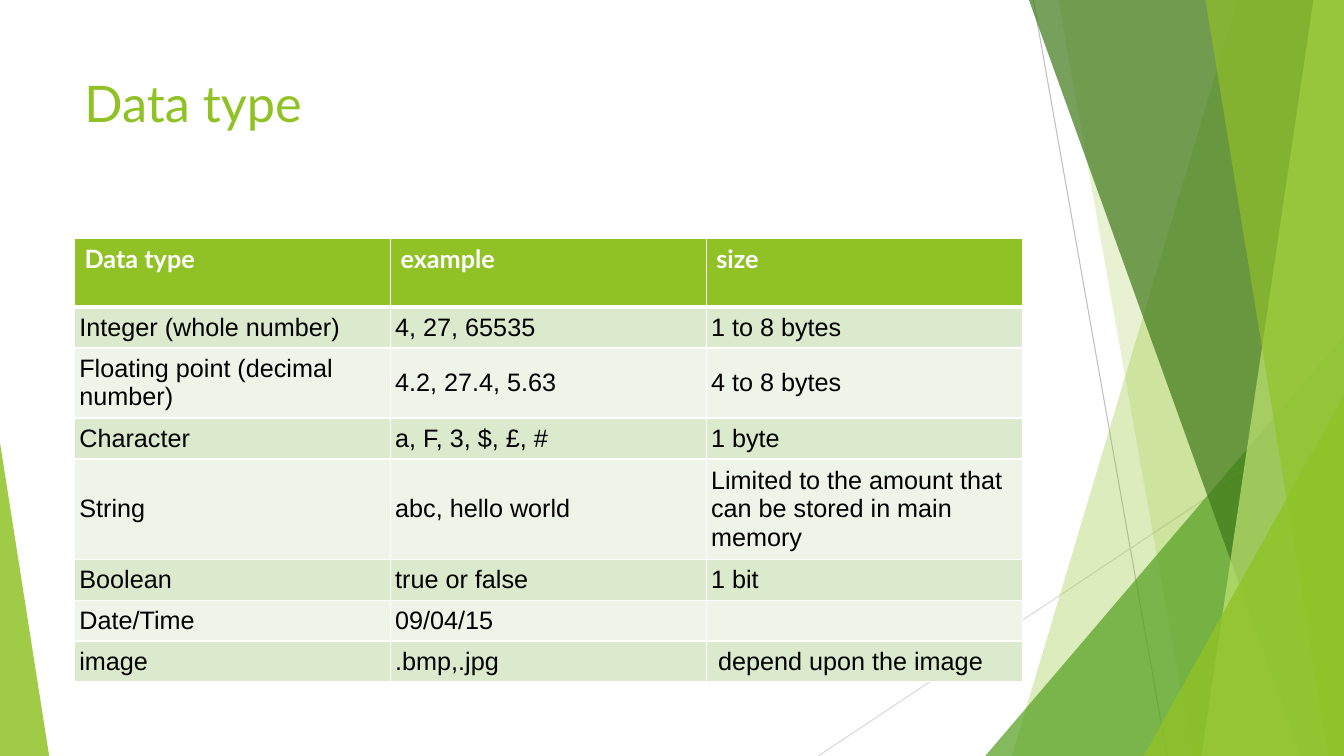
from collections import namedtuple

from lxml.etree import SubElement
from pptx import Presentation
from pptx.dml.color import RGBColor
from pptx.enum.shapes import MSO_CONNECTOR as Connector, MSO_SHAPE as Preset
from pptx.enum.text import MSO_ANCHOR as Anchor
from pptx.oxml.ns import qn
from pptx.util import Cm, Pt

Box = namedtuple("Box", "left top width height")

WHITE = RGBColor(0xFF, 0xFF, 0xFF)
BLACK = RGBColor(0, 0, 0)
GREEN = RGBColor(0x90, 0xC2, 0x26)
LEAF = RGBColor(0x54, 0xA0, 0x21)
FOREST = RGBColor(0x3F, 0x78, 0x19)
LIME = RGBColor(0xC0, 0xE4, 0x74)
BAND_DARK = RGBColor(0xDB, 0xE9, 0xCD)
BAND_LIGHT = RGBColor(0xEE, 0xF4, 0xE8)
GREY = RGBColor(0xBF, 0xBF, 0xBF)
PALE_GREY = RGBColor(0xD9, 0xD9, 0xD9)

PAGE = Box(0, 0, 33.87, 19.05)
TITLE = Box(1.88, 1.7, 23.88, 3.66)
TABLE = Box(1.88, 6, 23.88, 10.99)

ROWS = [
    ("Data type", "example", "size"),
    ("Integer (whole number)", "4, 27, 65535", "1 to 8 bytes"),
    ("Floating point (decimal number)", "4.2, 27.4, 5.63", "4 to 8 bytes"),
    ("Character", "a, F, 3, $, £, #", "1 byte"),
    ("String", "abc, hello world",
     "Limited to the amount that can be stored in main memory"),
    ("Boolean", "true or false", "1 bit"),
    ("Date/Time", "09/04/15", ""),
    ("image", ".bmp,.jpg", " depend upon the image"),
]
ROW_HEIGHTS = [1.74, 1.03, 1.69, 1.03, 2.41, 1.03, 1.03, 1.03]


def write(frame, text, font="Arial", size=18, color=BLACK, bold=False):
    para = frame.paragraphs[0]
    para.font.size = Pt(size)
    if text:
        span = para.add_run()
        span.text = text
        span.font.name = font
        span.font.size = Pt(size)
        span.font.bold = bold
        span.font.color.rgb = color


def paint(shape, color, opacity):
    shape.shadow.inherit = False
    shape.line.fill.background()
    shape.fill.solid()
    shape.fill.fore_color.rgb = color
    tint = shape.fill._xPr.find(qn("a:solidFill"))[0]
    SubElement(tint, qn("a:alpha"), val=str(opacity * 1000))


def add_ray(page, box, start, end, color):
    x1, y1, x2, y2 = (Cm(value) for value in (
        box.left + start[0], box.top + start[1],
        box.left + end[0], box.top + end[1]))
    ray = page.shapes.add_connector(Connector.STRAIGHT, x1, y1, x2, y2)
    ray.line.color.rgb = color
    ray.line.width = Pt(0.75)
    SubElement(ray._element.spPr, qn("a:effectLst"))


def add_facet(page, box, top_x, bottom_x, color, opacity):
    right, bottom = box.left + box.width, box.top + box.height
    corners = [(box.left + top_x, box.top), (right, box.top),
               (right, bottom), (box.left + bottom_x, bottom)]
    points = [(Cm(x), Cm(y)) for x, y in corners]
    builder = page.shapes.build_freeform(*points[0])
    builder.add_line_segments(points[1:], close=True)
    paint(builder.convert_to_shape(), color, opacity)


def add_wedge(page, box, width, height, color, opacity, apex):
    left = box.left + apex * (box.width - width)
    top = box.top + box.height - height
    wedge = page.shapes.add_shape(
        Preset.ISOSCELES_TRIANGLE, Cm(left), Cm(top), Cm(width), Cm(height))
    wedge.adjustments[0] = apex
    paint(wedge, color, opacity)


def add_backdrop(page, box):
    add_ray(page, box, (26.04, 0), (29.41, box.height), GREY)
    add_ray(page, box, (box.width, 10.24), (20.62, box.height), PALE_GREY)
    add_facet(page, box, 31.19, 25.5, GREEN, 30)
    add_facet(page, box, 26.67, 30.05, GREEN, 20)
    add_wedge(page, box, 9.04, 10.59, LEAF, 72, apex=1)
    add_facet(page, box, 25.93, 32.79, FOREST, 70)
    add_facet(page, box, 33.1, 30.28, LIME, 70)
    add_facet(page, box, 30.38, 33.48, GREEN, 65)
    add_wedge(page, box, 5.05, 9.07, GREEN, 80, apex=1)
    add_wedge(page, box, 1.24, 7.9, GREEN, 85, apex=0)


def add_title(page, box, text):
    title = page.shapes.add_textbox(*map(Cm, box))
    title.text_frame.word_wrap = True
    write(title.text_frame, text, font="Lato", size=36, color=GREEN)


def add_borders(cell, widths):
    props = cell._tc.get_or_add_tcPr()
    for side, width in widths.items():
        edge = SubElement(props, qn(f"a:ln{side}"), w=str(Pt(width)))
        fill = SubElement(edge, qn("a:solidFill"))
        SubElement(fill, qn("a:srgbClr"), val=str(WHITE))


def format_cell(cell, text, row):
    header = row == 0
    add_borders(cell, {"L": 1, "R": 1, "T": 3 if row == 1 else 1,
                       "B": 3 if header else 1})
    cell.fill.solid()
    if header:
        cell.fill.fore_color.rgb = GREEN
        write(cell.text_frame, text, font="Lato", color=WHITE, bold=True)
        return
    cell.fill.fore_color.rgb = BAND_DARK if row % 2 else BAND_LIGHT
    cell.vertical_anchor = Anchor.MIDDLE
    cell.margin_left = cell.margin_right = Cm(0.12)
    cell.margin_top = cell.margin_bottom = Cm(0.12)
    write(cell.text_frame, text)


def add_type_table(page, box, rows, heights):
    columns = len(rows[0])
    table = page.shapes.add_table(len(rows), columns, *map(Cm, box)).table
    for column in table.columns:
        column.width = Cm(box.width / columns)
    for row, (texts, height) in enumerate(zip(rows, heights)):
        table.rows[row].height = Cm(height)
        for column, text in enumerate(texts):
            format_cell(table.cell(row, column), text, row)


def main():
    deck = Presentation()
    deck.slide_width, deck.slide_height = Cm(PAGE.width), Cm(PAGE.height)
    page = deck.slides.add_slide(deck.slide_layouts[6])
    add_backdrop(page, PAGE)
    add_title(page, TITLE, "Data type")
    add_type_table(page, TABLE, ROWS, ROW_HEIGHTS)
    deck.save("out.pptx")


main()
